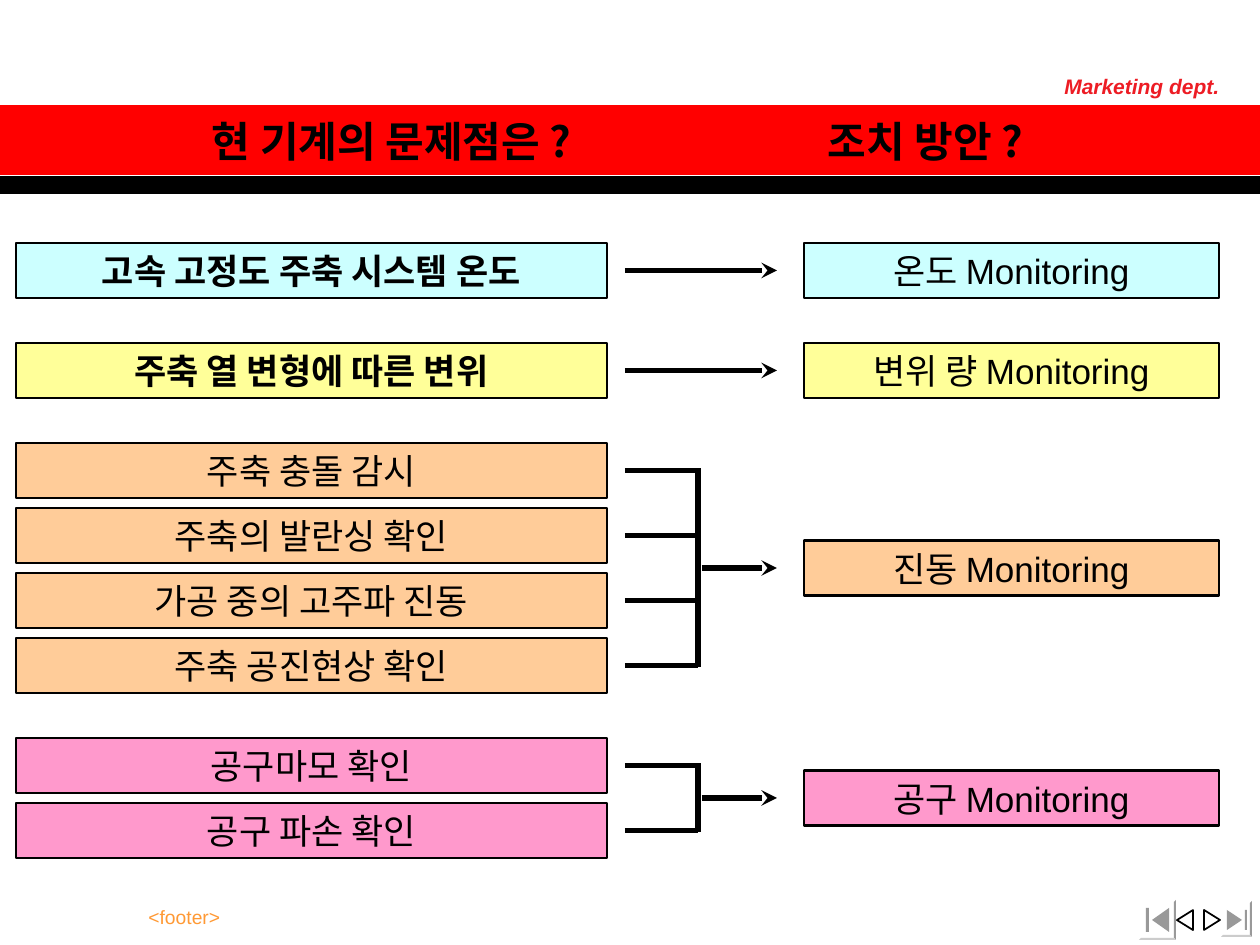
from lxml.etree import SubElement
from pptx import Presentation
from pptx.dml.color import RGBColor
from pptx.enum.shapes import MSO_CONNECTOR as Connector, MSO_SHAPE as Shape
from pptx.enum.text import MSO_ANCHOR as Anchor, PP_ALIGN as Align
from pptx.oxml.ns import qn
from pptx.util import Emu, Pt

SCALE = 914400 / 126
LATIN, KOREAN = "Arial", "Noto Sans CJK KR"
BLACK, WHITE, RED = "000000", "FFFFFF", "FF0000"
GREY, PALE_GREY = "999999", "CCCCCC"

TITLE = "현 기계의 문제점은 ?\t조치 방안 ?"
GROUPS = [
    ("CCFFFF", True, ["고속 고정도 주축 시스템 온도"], "온도 Monitoring"),
    ("FFFF99", True, ["주축 열 변형에 따른 변위"], "변위 량 Monitoring"),
    ("FFCC99", False, ["주축 충돌 감시", "주축의 발란싱 확인", "가공 중의 고주파 진동",
                       "주축 공진현상 확인"], "진동 Monitoring"),
    ("FF99CC", False, ["공구마모 확인", "공구 파손 확인"], "공구 Monitoring"),
]
BANDS = [(105, 70, RED), (176, 18, BLACK)]
BUTTONS = [
    ((1139, 900, 37, 40), [(1152, 920), (1169, 908), (1169, 932)], (1146, 908, 3, 24)),
    ((1221, 901, 31, 36), [(1242, 920), (1227, 930), (1227, 910)], (1245, 910, 2, 20)),
]
STEPS = [(1204, 0), (1177, 180)]
FIRST_TOP, ROW_PITCH, GROUP_PITCH, BOX_HEIGHT = 243, 65, 100, 55
PROBLEM_LEFT, PROBLEM_WIDTH = 16, 591
ACTION_LEFT, ACTION_WIDTH = 804, 415
LINE_LEFT, BRACKET_X, STEM_LEFT, ARROW_TIP = 625, 698, 702, 777
TITLE_LEFT, TITLE_TEXT_LEFT, TITLE_TAB = 39, 212, 616


def px(value):
    return Emu(round(value * SCALE))


def colour(value):
    return RGBColor.from_string(value)


def paint(shape, fill, line=None, width=1.5):
    shape.shadow.inherit = False
    shape.fill.solid()
    shape.fill.fore_color.rgb = colour(fill)
    if line:
        shape.line.color.rgb = colour(line)
        shape.line.width = Pt(width)
    else:
        shape.line.fill.background()
    return shape


def add_box(page, area, fill, line=None, kind=Shape.RECTANGLE, width=1.5):
    return paint(page.shapes.add_shape(kind, *map(px, area)), fill, line, width)


def add_polygon(page, points, fill):
    builder = page.shapes.build_freeform(*points[0], scale=SCALE)
    builder.add_line_segments(points[1:], close=True)
    return paint(builder.convert_to_shape(), fill)


def write(box, text, ink=BLACK, align=Align.LEFT, anchor=Anchor.MIDDLE, tab=None, **formats):
    frame = box.text_frame
    frame.word_wrap = True
    frame.vertical_anchor = anchor
    para = frame.paragraphs[0]
    para.alignment = align
    if tab:
        tabs = SubElement(para._p.get_or_add_pPr(), qn("a:tabLst"))
        SubElement(tabs, qn("a:tab"), pos=str(px(tab)), algn="l")
    span = para.add_run()
    span.text = text
    for name, value in formats.items():
        setattr(span.font, name, value)
    span.font.color.rgb = colour(ink)
    SubElement(span._r.get_or_add_rPr(), qn("a:ea"), typeface=KOREAN)


def add_line(page, start, end, arrow=False):
    line = page.shapes.add_connector(Connector.STRAIGHT, *map(px, start + end))
    line.line.color.rgb = colour(BLACK)
    line.line.width = Pt(3)
    if arrow:
        SubElement(line.line._get_or_add_ln(), qn("a:tailEnd"), type="stealth")
    SubElement(line._element.spPr, qn("a:effectLst"))


def add_button(page, area, triangle, bar):
    left, top, width, height = area
    right, bottom = left + width, top + height
    add_box(page, area, WHITE)
    add_polygon(page, [(right, top), (right, bottom), (right - 2, bottom - 2),
                       (right - 2, top + 2)], GREY)
    add_polygon(page, [(right, bottom), (left, bottom), (left + 2, bottom - 2),
                       (right - 2, bottom - 2)], PALE_GREY)
    add_polygon(page, triangle, GREY)
    add_box(page, bar, GREY)


def add_group(page, top, fill, bold, problems, action):
    tops = [top + row * ROW_PITCH for row in range(len(problems))]
    action_top = (tops[0] + tops[-1]) / 2
    boxes = [(PROBLEM_LEFT, y, PROBLEM_WIDTH, text, bold) for y, text in zip(tops, problems)]
    boxes.append((ACTION_LEFT, action_top, ACTION_WIDTH, action, False))
    for left, y, width, text, strong in boxes:
        box = add_box(page, (left, y, width, BOX_HEIGHT), fill, BLACK)
        write(box, text, align=Align.CENTER, name=LATIN, size=Pt(20), bold=strong)
    half = BOX_HEIGHT / 2
    arrow_left = LINE_LEFT
    if len(problems) > 1:
        arrow_left = STEM_LEFT
        for y in tops:
            add_line(page, (LINE_LEFT, y + half), (BRACKET_X, y + half))
        add_line(page, (BRACKET_X, tops[0] + half - 2), (BRACKET_X, tops[-1] + half + 2))
    add_line(page, (arrow_left, action_top + half), (ARROW_TIP, action_top + half), True)
    return tops[-1] + GROUP_PITCH


def main():
    """Build the slide that pairs machine problems with monitoring actions."""
    deck = Presentation()
    deck.slide_width, deck.slide_height = px(1260), px(945)
    page = deck.slides.add_slide(deck.slide_layouts[6])
    for top, height, fill in BANDS:
        add_box(page, (0, top, 1260, height), fill)
    department = page.shapes.add_textbox(*map(px, (1052, 67, 188, 38)))
    write(department, "Marketing dept.", "ED1C24", name=LATIN, size=Pt(12), bold=True, italic=True)
    for left, turn in STEPS:
        step = add_box(page, (left, 910, 16, 20), WHITE, BLACK, Shape.RIGHT_ARROW, 1)
        step.adjustments[0], step.adjustments[1] = 0.46, 1
        step.rotation = turn
    for button in BUTTONS:
        add_button(page, *button)
    footer = page.shapes.add_textbox(*map(px, (136, 872, 683, 63)))
    write(footer, "<footer>", "FF9934", anchor=Anchor.BOTTOM, name=LATIN, size=Pt(11))
    title = add_box(page, (TITLE_LEFT, 110, 1182, 62), RED)
    title.text_frame.margin_left = px(TITLE_TEXT_LEFT - TITLE_LEFT)
    write(title, TITLE, tab=TITLE_TAB, name=KOREAN, size=Pt(24), bold=True)
    top = FIRST_TOP
    for group in GROUPS:
        top = add_group(page, top, *group)
    deck.save("out.pptx")


if __name__ == "__main__":
    main()
